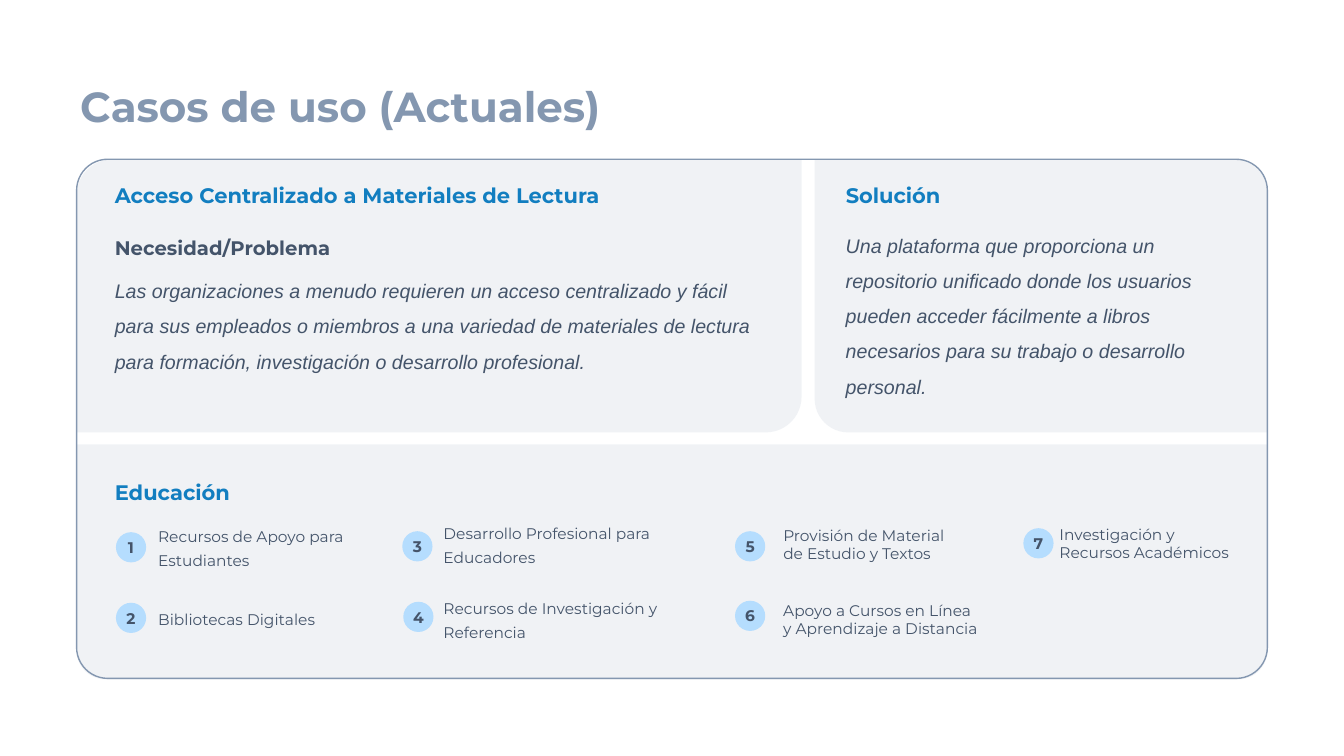
"""Build the slide on current use cases: need, solution and education uses."""
from lxml import etree
from pptx import Presentation
from pptx.dml.color import RGBColor
from pptx.enum.shapes import MSO_SHAPE as SHAPE
from pptx.enum.text import MSO_ANCHOR as ANCHOR, MSO_AUTO_SIZE as AUTO, PP_ALIGN as ALIGN
from pptx.oxml.ns import qn
from pptx.util import Inches, Pt

COLORS = {"panel": "D6DCE5", "frame": "8497B0", "heading": "127EC0",
          "text": "44546A", "badge": "B5DDFE"}
HEADING = {"size": Pt(15), "name": "Montserrat", "bold": True}
SUBHEADING = {"size": Pt(14), "name": "Montserrat", "bold": True}
BODY = {"size": Pt(14), "name": "Arial", "italic": True}
CAPTION = {"size": Pt(11), "name": "Montserrat"}
NUMBER = {"size": Pt(11), "name": "Montserrat", "bold": True}
TITLE = {"size": Pt(30), "name": "Montserrat", "bold": True}
SPACED = {"line_spacing": 1.5, "space_after": Pt(6)}
LOOSE = {"line_spacing": Pt(17), "space_after": Pt(6)}


def write(paragraph, text, font, color="text", layout={}):
    """Fill a paragraph with one formatted run."""
    for key, value in layout.items():
        setattr(paragraph, key, value)
    run = paragraph.add_run()
    run.text = text
    for key, value in font.items():
        setattr(run.font, key, value)
    run.font.color.rgb = RGBColor.from_string(COLORS[color])
    return run


def text_frame(left, top, width, height, wrap=True):
    """Add a text box that grows with its text."""
    box = slide.shapes.add_textbox(Inches(left), Inches(top), Inches(width), Inches(height))
    box.text_frame.word_wrap = wrap
    box.text_frame.auto_size = AUTO.SHAPE_TO_FIT_TEXT
    return box.text_frame


prs = Presentation()
prs.slide_width, prs.slide_height = Inches(13.33), Inches(7.5)
slide = prs.slides.add_slide(prs.slide_layouts[6])

panels = [
    (SHAPE.ROUND_2_DIAG_RECTANGLE, (0.76, 1.58, 7.19, 2.71), (0.131, 0)),
    (SHAPE.ROUND_2_SAME_RECTANGLE, (0.76, 4.41, 11.81, 2.33), (0, 0.123)),
    (SHAPE.ROUND_2_DIAG_RECTANGLE, (8.08, 1.58, 4.49, 2.71), (0, 0.123)),
]
for preset, place, corners in panels:
    panel = slide.shapes.add_shape(preset, *map(Inches, place))
    panel.shadow.inherit = False
    for index, corner in enumerate(corners):
        panel.adjustments[index] = corner
    panel.fill.solid()
    panel.fill.fore_color.rgb = RGBColor.from_string(COLORS["panel"])
    tint = panel._element.spPr.find(qn("a:solidFill")).find(qn("a:srgbClr"))
    etree.SubElement(tint, qn("a:alpha"), val="35000")
    panel.line.fill.background()

frame = slide.shapes.add_shape(SHAPE.ROUNDED_RECTANGLE, *map(Inches, (0.76, 1.58, 11.81, 5.15)))
frame.shadow.inherit = False
frame.adjustments[0] = 0.06
frame.fill.background()
frame.line.color.rgb = RGBColor.from_string(COLORS["frame"])
frame.line.width = Pt(1)

title = text_frame(0.57, 0.69, 5.61, 0.71, wrap=False)
title.vertical_anchor = ANCHOR.MIDDLE
title.margin_left = title.margin_right = Inches(0.2)
title.margin_top = title.margin_bottom = Inches(0.1)
title_run = write(title.paragraphs[0], "Casos de uso (Actuales)", TITLE, "frame",
                  {"alignment": ALIGN.CENTER})
title_fill = title_run.font.fill
title_fill.gradient()
title_fill.gradient_angle = 270
for stop, shade in zip(title_fill.gradient_stops, ("frame", "text")):
    stop.color.rgb = RGBColor.from_string(COLORS[shade])

headings = [
    ("Acceso Centralizado a Materiales de Lectura", 1.04, 1.76, 5.14),
    ("Solución", 8.29, 1.76, 1.15),
    ("Educación", 1.04, 4.71, 1.36),
]
for heading, left, top, width in headings:
    write(text_frame(left, top, width, 0.35, wrap=False).paragraphs[0],
          heading, HEADING, "heading")

need = text_frame(1.04, 2.17, 6.68, 2.37)
write(need.paragraphs[0], "Necesidad/Problema", SUBHEADING, layout=SPACED)
write(need.add_paragraph(),
      "Las organizaciones a menudo requieren un acceso centralizado y fácil para sus "
      "empleados o miembros a una variedad de materiales de lectura para formación, "
      "investigación o desarrollo profesional.", BODY, layout=SPACED)

solution = text_frame(8.29, 2.15, 4.04, 1.82)
write(solution.paragraphs[0],
      "Una plataforma que proporciona un repositorio unificado donde los usuarios pueden "
      "acceder fácilmente a libros necesarios para su trabajo o desarrollo personal.",
      BODY, layout=SPACED)

education_uses = [
    ("Recursos de Apoyo para Estudiantes", (1.15, 5.28), (1.47, 5.13, 2.14, 0.56), LOOSE),
    ("Bibliotecas Digitales", (1.15, 5.98), (1.47, 5.95, 1.89, 0.32), LOOSE),
    ("Desarrollo Profesional para Educadores", (3.99, 5.27), (4.3, 5.1, 2.51, 0.56), LOOSE),
    ("Recursos de Investigación y Referencia", (4, 5.97), (4.3, 5.84, 2.36, 0.56), LOOSE),
    ("Provisión de Material de Estudio y Textos", (7.29, 5.27), (7.67, 5.17, 1.82, 0.47), {}),
    ("Apoyo a Cursos en Línea y Aprendizaje a Distancia", (7.29, 5.96),
     (7.67, 5.91, 2.17, 0.47), {}),
    ("Investigación y Recursos Académicos", (10.15, 5.24), (10.41, 5.16, 1.97, 0.47), {}),
]
for number, (use, badge_place, use_place, layout) in enumerate(education_uses, 1):
    write(text_frame(*use_place).paragraphs[0], use, CAPTION, layout=layout)
    badge = slide.shapes.add_shape(SHAPE.OVAL, *map(Inches, (*badge_place, 0.3, 0.3)))
    badge.shadow.inherit = False
    badge.fill.solid()
    badge.fill.fore_color.rgb = RGBColor.from_string(COLORS["badge"])
    badge.line.fill.background()
    for side in ("left", "right", "top", "bottom"):
        setattr(badge.text_frame, f"margin_{side}", 0)
    badge.text_frame.vertical_anchor = ANCHOR.MIDDLE
    write(badge.text_frame.paragraphs[0], str(number), NUMBER,
          layout={"alignment": ALIGN.CENTER})

prs.save("out.pptx")
